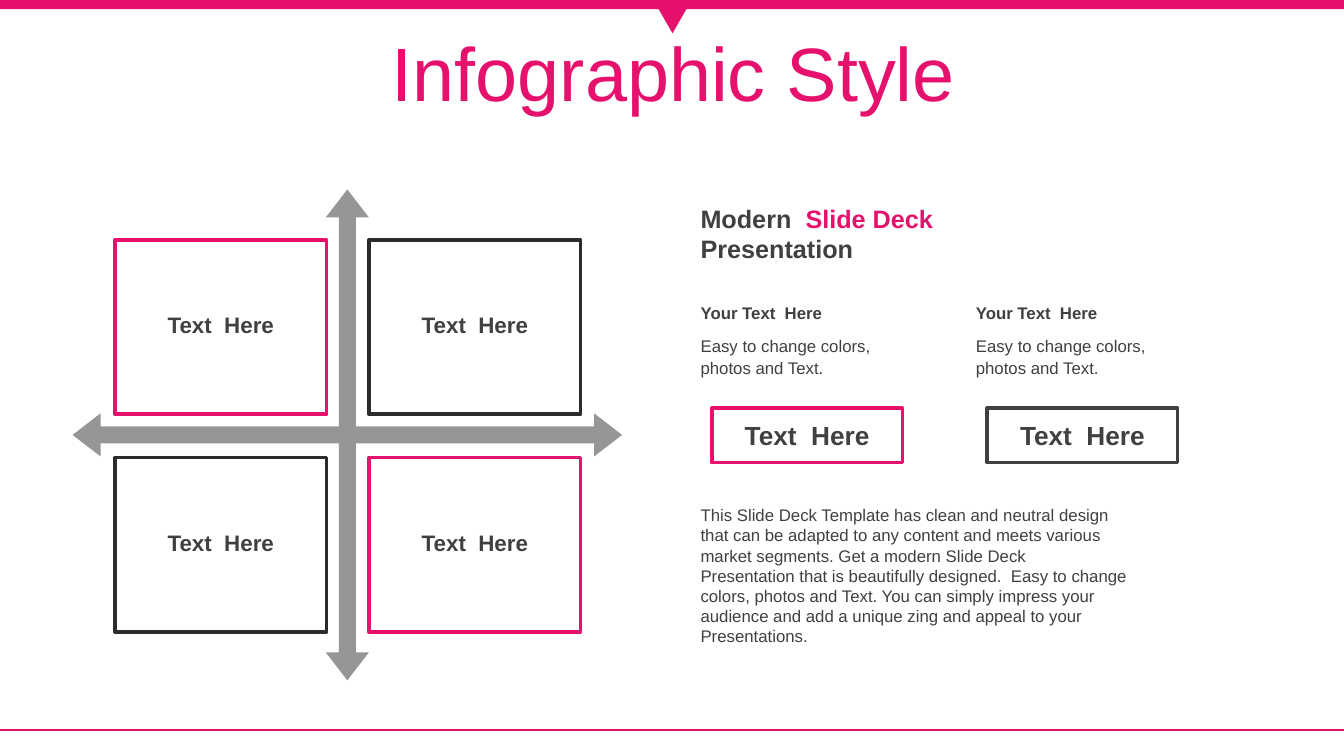
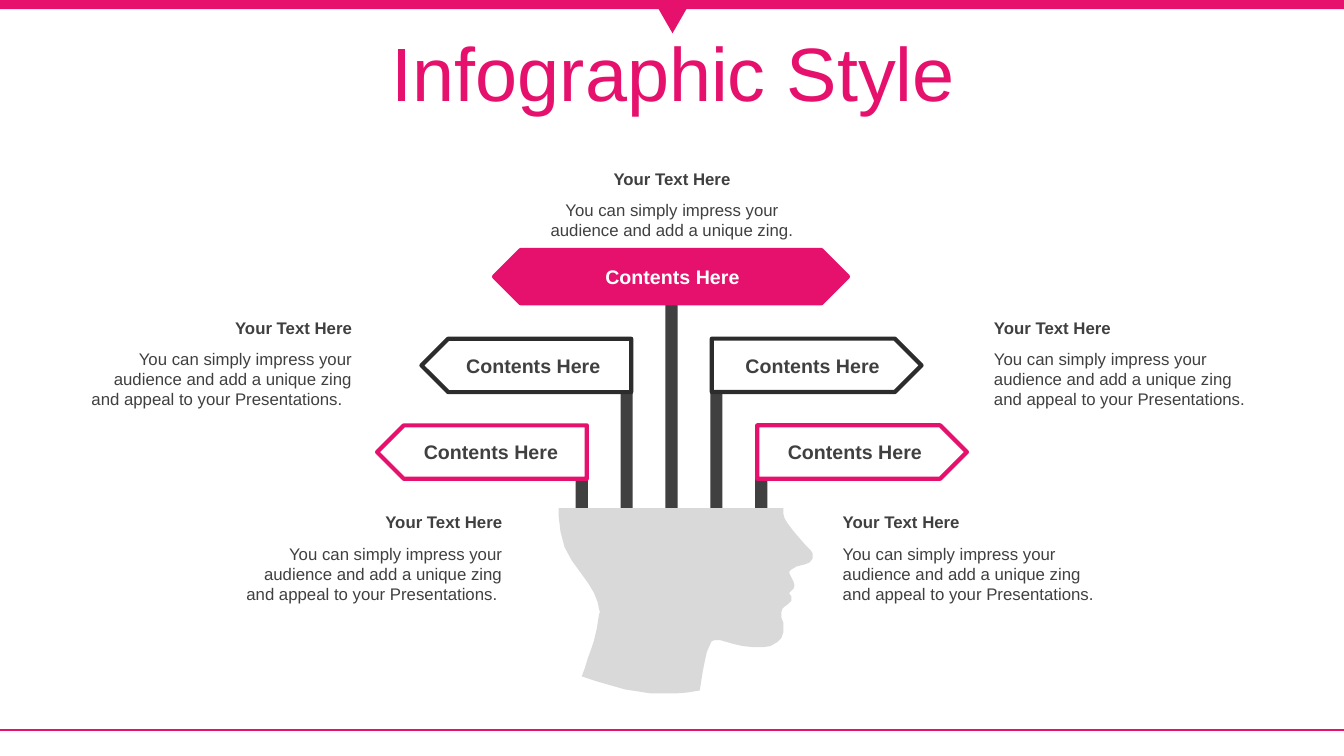
from dataclasses import dataclass
from itertools import product

from pptx import Presentation
from pptx.dml.color import RGBColor as RGB
from pptx.enum.shapes import MSO_CONNECTOR as LINE, MSO_SHAPE as SHAPE
from pptx.enum.text import MSO_ANCHOR as ANCHOR, PP_ALIGN as ALIGN
from pptx.oxml.ns import qn
from pptx.util import Inches, Pt
from lxml.etree import SubElement


@dataclass(frozen=True)
class Theme:
    pink: str = "E6106D"
    ink: str = "404040"
    dark: str = "2C2C2C"
    gray: str = "969696"
    pale: str = "D9D9D9"
    white: str = "FFFFFF"
    font: str = "Arial"
    title: float = 54
    head: float = 18
    tag: float = 18.7
    cell: float = 16
    sign: float = 14
    body: float = 12
    edge: float = 2.5
    rim: float = 3


T = Theme()
WIDE, HIGH = 13.33, 7.5
LEFT, MID, RIGHT = ALIGN.LEFT, ALIGN.CENTER, ALIGN.RIGHT

# Outline of the head, in hundredths of an inch from its top left
HEAD = [
    (0, 0), (223, 0), (223, 6), (224, 10), (227, 15), (233, 23), (239, 30),
    (246, 38), (250, 42), (252, 45), (252, 50), (249, 54), (244, 56),
    (236, 58), (231, 61), (229, 63), (229, 65), (231, 69), (233, 73),
    (234, 77), (233, 80), (229, 84), (229, 85), (231, 88), (231, 92),
    (228, 95), (224, 98), (222, 100), (221, 103), (221, 109), (223, 114),
    (223, 123), (221, 129), (217, 133), (210, 137), (203, 138), (193, 138),
    (183, 137), (174, 135), (167, 133), (160, 131), (155, 131), (152, 132),
    (150, 136), (147, 143), (145, 152), (143, 162), (141, 175), (140, 181),
    (128, 183), (116, 184), (92, 184), (79, 182), (66, 180), (52, 176),
    (38, 172), (23, 167), (26, 159), (29, 149), (32, 141), (35, 132),
    (38, 119), (40, 106), (41, 103), (40, 100), (39, 94), (35, 84),
    (29, 74), (21, 63), (13, 52), (6, 39), (2, 24), (0, 8),
]


# Basic parts
def paint(shape, fill, edge=None, width=0):
    shape.shadow.inherit = False
    shape.fill.solid()
    shape.fill.fore_color.rgb = RGB.from_string(fill)
    if edge:
        shape.line.color.rgb = RGB.from_string(edge)
        shape.line.width = Pt(width)
    else:
        shape.line.fill.background()
    return shape


def block(slide, kind, box, fill, edge=None, width=0):
    shape = slide.shapes.add_shape(kind, *map(Inches, box))
    return paint(shape, fill, edge, width)


def write(shape, runs, size, bold=False, align=LEFT, space=None):
    """Fill the shape with one paragraph of (text, colour) runs."""
    shape.text_frame.word_wrap = True
    para = shape.text_frame.paragraphs[0]
    para.alignment = align
    if space:
        para.line_spacing = space
    for text, color in runs:
        run = para.add_run()
        run.text = text
        run.font.name = T.font
        run.font.size = Pt(size)
        run.font.bold = bold
        run.font.color.rgb = RGB.from_string(color)
    return para


def label(slide, box, text, size, bold=False, align=LEFT, space=None,
          color=T.ink):
    area = slide.shapes.add_textbox(*map(Inches, box))
    write(area, [(text, color)], size, bold, align, space)


def note(slide, box, head, text, align=LEFT, space=None):
    """A bold heading with its text below."""
    x, y, w, h = box
    label(slide, (x, y, w, 0.3), head, T.body, True, align)
    label(slide, (x, y + 0.31, w, h - 0.31), text, T.body, False, align, space)


# Shared band, pointer, foot line and title
def frame(deck, title):
    slide = deck.slides.add_slide(deck.slide_layouts[6])
    foot = slide.shapes.add_connector(
        LINE.STRAIGHT, *map(Inches, (WIDE, 7.24, 0, 7.24)))
    foot.line.color.rgb = RGB.from_string(T.pink)
    foot.line.width = Pt(1.5)
    SubElement(foot._element.spPr, qn("a:effectLst"))
    block(slide, SHAPE.RECTANGLE, (0, 0, WIDE, 0.09), T.pink)
    tip = block(slide, SHAPE.ISOSCELES_TRIANGLE, (6.48, 0, 0.38, 0.33), T.pink)
    tip.rotation = 180
    area = slide.shapes.add_textbox(*map(Inches, (0.35, 0.37, 12.66, 0.79)))
    area.text_frame.vertical_anchor = ANCHOR.MIDDLE
    para = write(area, [(title, T.pink)], T.title, align=MID, space=0.9)
    para.space_before = Pt(10)
    return slide


# Four cells around a crossed arrow
def matrix(slide, box):
    x, y, w, h = box
    cross = block(slide, SHAPE.QUAD_ARROW, box, T.gray)
    for i, ratio in enumerate((0.035, 0.044, 0.057)):
        cross.adjustments[i] = ratio
    for row, col in product(range(2), repeat=2):
        left, top = x + 0.42 + col * 2.52, y + 0.5 + row * 2.16
        edge = T.pink if row == col else T.dark
        block(slide, SHAPE.RECTANGLE, (left, top, 2.1, 1.73), T.white, edge,
              T.edge)
        label(slide, (left + 0.34, top + 0.66, 1.42, 0.37), "Text  Here",
              T.cell, True, MID)


# Heading, two tagged notes and a paragraph
def panel(slide, box):
    x, y, w, h = box
    area = slide.shapes.add_textbox(*map(Inches, (x, y, 3.07, 0.71)))
    write(area, [("Modern  ", T.ink), ("Slide Deck  ", T.pink),
                 ("Presentation", T.ink)], T.head, True)
    for col, edge in enumerate((T.pink, T.ink)):
        left = x + col * 2.73
        note(slide, (left, y + 0.98, 2.31, 0.85), "Your Text  Here",
             "Easy to change colors, photos and Text.", space=1.1)
        tag = block(slide, SHAPE.RECTANGLE,
                    (left + 0.21, y + 2.08, 1.89, 0.54), T.white, edge, T.edge)
        tag.text_frame.vertical_anchor = ANCHOR.MIDDLE
        write(tag, [("Text  Here", T.ink)], T.tag, True, MID)
    label(slide, (x, y + 2.99, w, h - 2.99),
          "This Slide Deck Template has clean and neutral design that can be "
          "adapted to any content and meets various market segments. Get a "
          "modern Slide Deck  Presentation that is beautifully designed.  "
          "Easy to change colors, photos and Text. You can simply impress "
          "your audience and add a unique zing and appeal to your "
          "Presentations.", T.body)


# Signs on posts that rise from a head
def tree(slide, box):
    x, y, w, h = box
    for i in range(-2, 3):
        top = (0.51, 0.87, 1.74)[abs(i)]
        block(slide, SHAPE.RECTANGLE,
              (x + 2.86 + i * 0.445, y + top, 0.12, 2.76 - top), T.ink)

    pen = slide.shapes.build_freeform(*HEAD[0], scale=Inches(0.01))
    pen.add_line_segments(HEAD[1:], close=True)
    paint(pen.convert_to_shape(Inches(x + 1.8), Inches(y + 2.56)), T.pale)

    # Side signs: left, top, turn, edge colour, label inset
    for left, top, turn, edge, inset in (
            (3.77, 1.74, 0, T.pink, 0.1), (3.32, 0.88, 0, T.dark, 0.13),
            (0, 1.74, 180, T.pink, 0.26), (0.44, 0.88, 180, T.dark, 0.24)):
        sign = block(slide, SHAPE.PENTAGON, (x + left, y + top, 2.08, 0.53),
                     T.white, edge, T.rim)
        sign.rotation = turn
        label(slide, (x + left + inset, y + top + 0.1, 1.74, 0.34),
              "Contents Here", T.sign, True, MID)

    # Top sign
    sign = block(slide, SHAPE.HEXAGON, (x + 1.16, y, 3.51, 0.53), T.pink,
                 T.pink, T.rim)
    sign.adjustments[0] = 0.5
    label(slide, (x + 2.05, y + 0.1, 1.76, 0.34), "Contents Here", T.sign,
          True, MID, color=T.white)


# Notes around the tree
def notes(slide):
    short = "You can simply impress your audience and add a unique zing"
    full = short + " and appeal to your Presentations."
    for x, y, align, text in (
            (5.27, 1.62, MID, short + "."),
            (0.8, 3.1, RIGHT, full + "   "), (9.76, 3.1, LEFT, full),
            (2.29, 5.03, RIGHT, full + " "), (8.26, 5.03, LEFT, full)):
        note(slide, (x, y, 2.79, 1.02), "Your Text Here", text, align)


def main():
    deck = Presentation()
    deck.slide_width, deck.slide_height = Inches(WIDE), Inches(HIGH)

    slide = frame(deck, "Infographic Style")
    matrix(slide, (0.72, 1.88, 5.45, 4.87))
    panel(slide, (6.85, 1.97, 4.44, 4.5))

    slide = frame(deck, "Infographic Style")
    tree(slide, (3.74, 2.48, 5.85, 4.41))
    notes(slide)

    deck.save("out.pptx")


if __name__ == "__main__":
    main()
